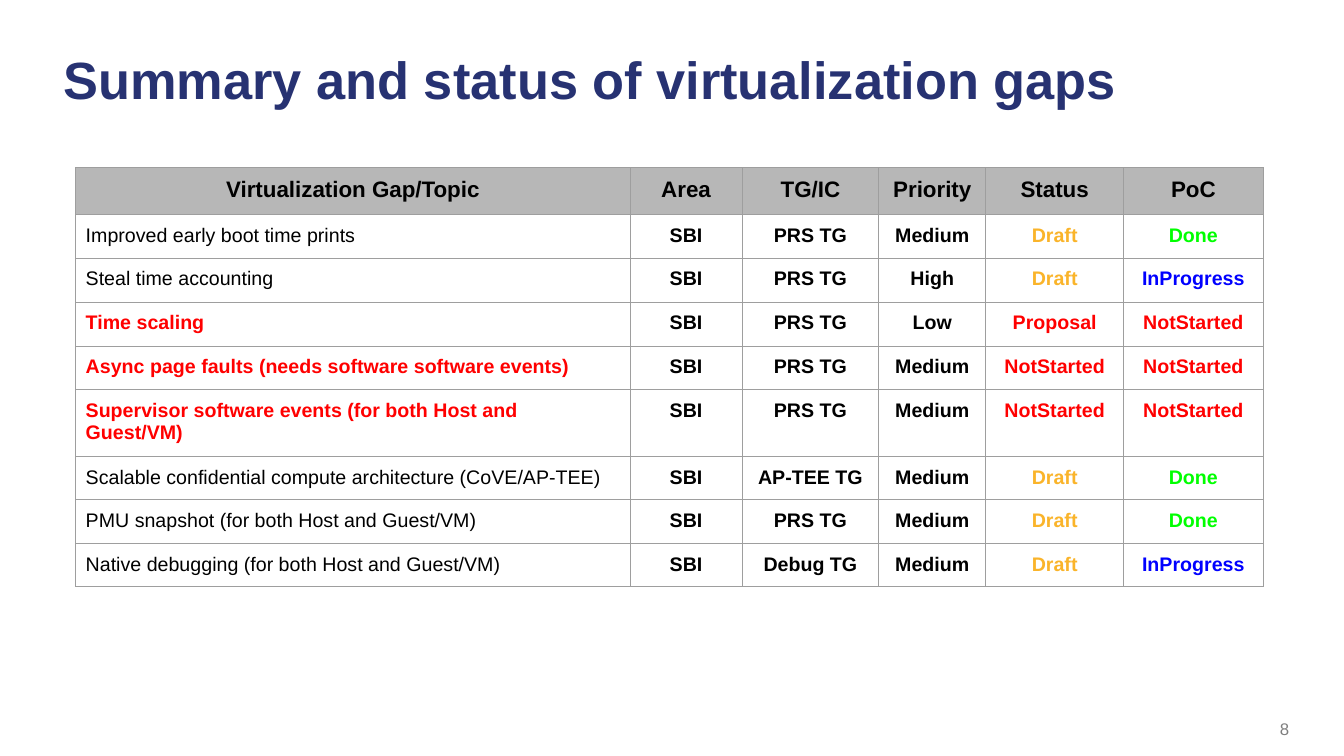
import dataclasses
import typing

import pptx
import pptx.dml.color
import pptx.enum.text
import pptx.oxml
import pptx.oxml.ns
import pptx.slide
import pptx.table
import pptx.text.text
import pptx.util
from pptx.util import Cm

ALIGN = pptx.enum.text.PP_ALIGN
ANCHOR = pptx.enum.text.MSO_ANCHOR


@dataclasses.dataclass(frozen=True)
class Theme:
    font: str = "Arial"
    title: str = "273272"
    text: str = "000000"
    page_number: str = "7F7F7F"
    header_fill: str = "B7B7B7"
    border: str = "9E9E9E"
    open_gap: str = "FF0000"
    title_size: float = 37.4
    header_size: float = 16
    body_size: float = 14
    page_number_size: float = 12
    border_width: float = 0.75


THEME = Theme()
STATE_COLORS = {
    "Draft": "FAB42A",
    "Done": "00FF00",
    "InProgress": "0000FF",
    "Proposal": THEME.open_gap,
    "NotStarted": THEME.open_gap,
}


class Gap(typing.NamedTuple):
    topic: str
    group: str
    priority: str
    status: str
    poc: str
    height: float
    area: str = "SBI"


@dataclasses.dataclass(frozen=True)
class TextBox:
    text: str
    left: float
    top: float
    width: float
    height: float
    size: float
    color: str
    bold: bool
    align: ALIGN
    anchor: ANCHOR
    line_spacing: float = 1.0


HEADERS = ("Virtualization Gap/Topic", "Area", "TG/IC", "Priority", "Status", "PoC")
COLUMN_WIDTHS = (13.97, 2.82, 3.45, 2.69, 3.48, 3.51)
HEADER_HEIGHT = 1.13
GAPS = (
    Gap("Improved early boot time prints", "PRS TG", "Medium", "Draft", "Done", 1.09),
    Gap("Steal time accounting", "PRS TG", "High", "Draft", "InProgress", 1.11),
    Gap("Time scaling", "PRS TG", "Low", "Proposal", "NotStarted", 1.11),
    Gap("Async page faults (needs software software events)",
        "PRS TG", "Medium", "NotStarted", "NotStarted", 1.07),
    Gap("Supervisor software events (for both Host and Guest/VM)",
        "PRS TG", "Medium", "NotStarted", "NotStarted", 1.61),
    Gap("Scalable confidential compute architecture (CoVE/AP-TEE)",
        "AP-TEE TG", "Medium", "Draft", "Done", 1.07),
    Gap("PMU snapshot (for both Host and Guest/VM)", "PRS TG", "Medium", "Draft", "Done", 1.07),
    Gap("Native debugging (for both Host and Guest/VM)",
        "Debug TG", "Medium", "Draft", "InProgress", 1.09),
)
TEXT_BOXES = (
    TextBox("Summary and status of virtualization gaps", 1.35, 0.79, 29.69, 2.54,
            THEME.title_size, THEME.title, True, ALIGN.LEFT, ANCHOR.MIDDLE, 0.95),
    TextBox("8", 24.84, 17.91, 7.9, 0.84,
            THEME.page_number_size, THEME.page_number, False, ALIGN.RIGHT, ANCHOR.BOTTOM),
)


def format_paragraph(paragraph: pptx.text.text._Paragraph, size: float, color: str,
                     bold: bool, align: ALIGN) -> None:
    paragraph.alignment = align
    for run in paragraph.runs:
        run.font.name = THEME.font
        run.font.size = pptx.util.Pt(size)
        run.font.bold = bold
        run.font.color.rgb = pptx.dml.color.RGBColor.from_string(color)


def add_text_box(slide: pptx.slide.Slide, box: TextBox) -> None:
    shape = slide.shapes.add_textbox(Cm(box.left), Cm(box.top), Cm(box.width), Cm(box.height))
    text_frame = shape.text_frame
    text_frame.word_wrap = True
    text_frame.vertical_anchor = box.anchor
    text_frame.text = box.text
    paragraph = text_frame.paragraphs[0]
    paragraph.line_spacing = box.line_spacing
    format_paragraph(paragraph, box.size, box.color, box.bold, box.align)


def add_borders(cell: pptx.table._Cell) -> None:
    properties = cell._tc.get_or_add_tcPr()
    width = pptx.util.Pt(THEME.border_width)
    for side in ("lnL", "lnR", "lnT", "lnB"):
        properties.append(pptx.oxml.parse_xml(
            f'<a:{side} {pptx.oxml.ns.nsdecls("a")} w="{width}"><a:solidFill>'
            f'<a:srgbClr val="{THEME.border}"/></a:solidFill></a:{side}>'))


def fill_cell(cell: pptx.table._Cell, text: str, size: float, color: str,
              bold: bool, align: ALIGN, fill: str | None = None) -> None:
    cell.margin_left = cell.margin_right = Cm(0.25)
    cell.margin_top = cell.margin_bottom = Cm(0.25)
    cell.vertical_anchor = ANCHOR.TOP
    add_borders(cell)
    if fill:
        cell.fill.solid()
        cell.fill.fore_color.rgb = pptx.dml.color.RGBColor.from_string(fill)
    else:
        cell.fill.background()
    cell.text_frame.text = text
    format_paragraph(cell.text_frame.paragraphs[0], size, color, bold, align)


def add_gap_table(slide: pptx.slide.Slide) -> None:
    heights = (HEADER_HEIGHT, *(gap.height for gap in GAPS))
    table = slide.shapes.add_table(len(heights), len(HEADERS), Cm(1.91), Cm(4.23),
                                   Cm(sum(COLUMN_WIDTHS)), Cm(sum(heights))).table
    table.horz_banding = False
    for column, width in zip(table.columns, COLUMN_WIDTHS):
        column.width = Cm(width)
    for row, height in zip(table.rows, heights):
        row.height = Cm(height)

    # Header row
    for column_index, header in enumerate(HEADERS):
        fill_cell(table.cell(0, column_index), header, THEME.header_size, THEME.text,
                  True, ALIGN.CENTER, THEME.header_fill)

    # Gap rows: topics without a started PoC stand out
    for row_index, gap in enumerate(GAPS, start=1):
        is_open = gap.poc == "NotStarted"
        fill_cell(table.cell(row_index, 0), gap.topic, THEME.body_size,
                  THEME.open_gap if is_open else THEME.text, is_open, ALIGN.LEFT)
        values = (gap.area, gap.group, gap.priority, gap.status, gap.poc)
        for column_index, value in enumerate(values, start=1):
            fill_cell(table.cell(row_index, column_index), value, THEME.body_size,
                      STATE_COLORS.get(value, THEME.text), True, ALIGN.CENTER)


def main() -> None:
    presentation = pptx.Presentation()
    presentation.slide_width = Cm(33.87)
    presentation.slide_height = Cm(19.05)
    slide = presentation.slides.add_slide(presentation.slide_layouts[6])

    # Title and page number
    for box in TEXT_BOXES:
        add_text_box(slide, box)

    # Status table
    add_gap_table(slide)
    presentation.save("out.pptx")


if __name__ == "__main__":
    main()
